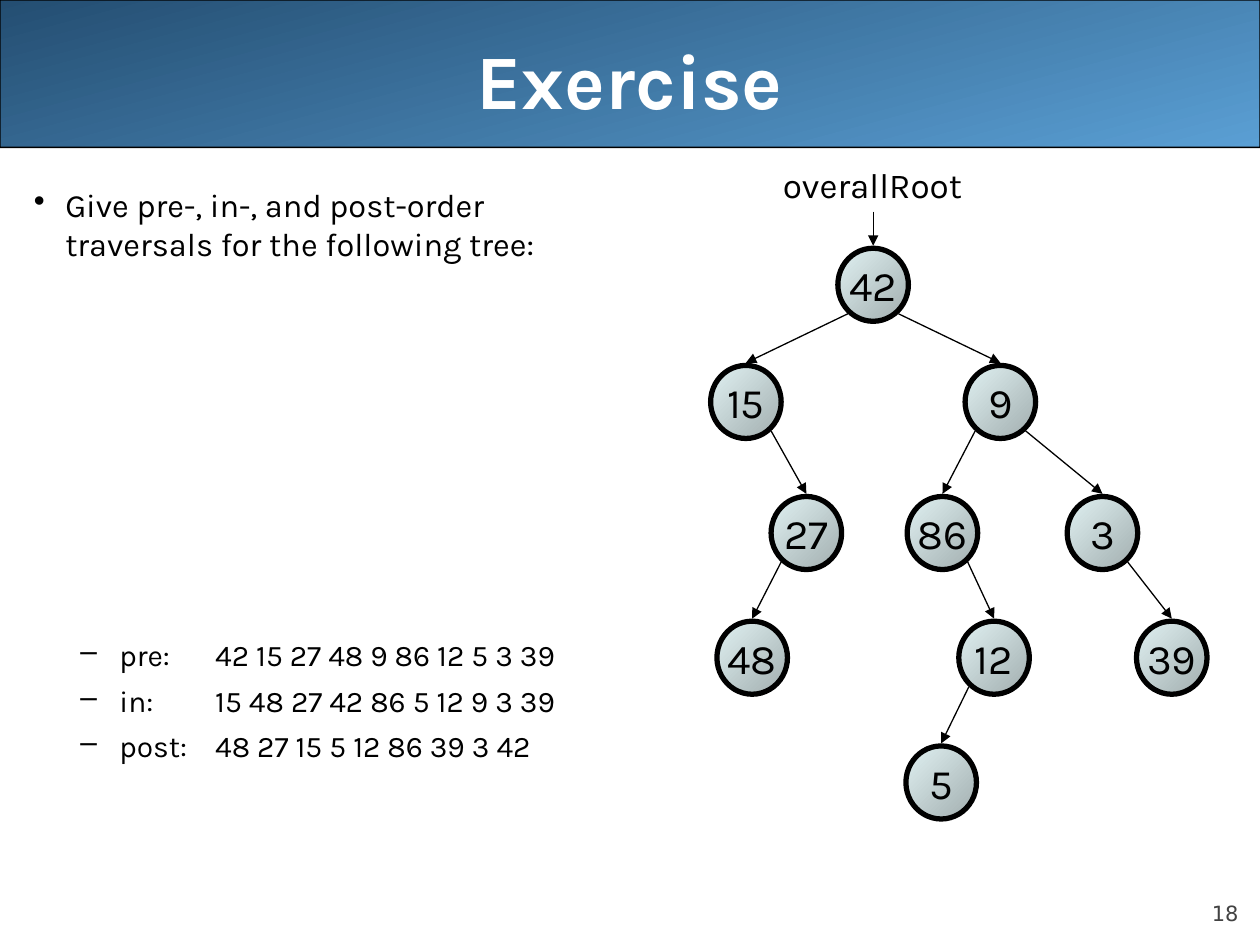
from lxml.etree import SubElement as Sub
from pptx import Presentation
from pptx.dml.color import RGBColor as RGB
from pptx.enum.shapes import MSO_CONNECTOR as Conn, MSO_SHAPE as Kind
from pptx.enum.text import MSO_ANCHOR as Anchor, PP_ALIGN as Align
from pptx.oxml.ns import qn
from pptx.util import Inches, Pt

COLORS = {
    "black": "000000", "white": "FFFFFF", "gray": "424242",
    "navy": "244E72", "sky": "5A9FD4", "dim": "A1ADAE", "pale": "E1F2F3",
}
FONT = "Karla"
SIZE_X, SIZE_Y = 0.56, 0.58
ROWS = [1.97, 2.9, 3.94, 4.93, 5.92]

# value: (center x, row, parent)
TREE = {
    42: (6.93, 0, None),
    15: (5.92, 1, 42), 9: (7.94, 1, 42),
    27: (6.4, 2, 15), 86: (7.48, 2, 9), 3: (8.75, 2, 9),
    48: (5.97, 3, 27), 12: (7.89, 3, 86), 39: (9.3, 3, 3),
    5: (7.47, 4, 12),
}
TASK = "Give pre-, in-, and post-order\vtraversals for the following tree:"
ORDERS = [
    "pre:\t42 15 27 48 9 86 12 5 3 39",
    "in:\t15 48 27 42 86 5 12 9 3 39",
    "post:\t48 27 15 5 12 86 39 3 42",
]


def rgb(name):
    return RGB.from_string(COLORS[name])


class Deck:
    def __init__(self):
        self.prs = Presentation()
        self.prs.slide_width, self.prs.slide_height = Inches(10), Inches(7.5)
        self.slide = self.prs.slides.add_slide(self.prs.slide_layouts[5])
        self.shapes = self.slide.shapes

    def style(self, para, size, color="black", bold=False, font=FONT):
        for run in para.runs:
            run.font.name, run.font.size, run.font.bold = font, Pt(size), bold
            run.font.color.rgb = rgb(color)

    def title(self, text, *box):
        head = self.shapes.title
        head.left, head.top, head.width, head.height = map(Inches, box)
        frame = head.text_frame
        frame.text = text
        frame.vertical_anchor = Anchor.MIDDLE
        para = frame.paragraphs[0]
        para.alignment = Align.CENTER
        self.style(para, 44, "white", bold=True)

    def shape(self, kind, box, stops, angle, width):
        """Add an outlined shape whose gradient turns clockwise by angle."""
        item = self.shapes.add_shape(kind, *map(Inches, box))
        item.shadow.inherit = False
        item.fill.gradient()
        item.fill.gradient_angle = 360 - angle
        for stop, name in zip(item.fill.gradient_stops, stops):
            stop.color.rgb = rgb(name)
        item.line.color.rgb = rgb("black")
        item.line.width = Pt(width)
        return item

    def band(self, *box):
        item = self.shape(Kind.ROUNDED_RECTANGLE, box, ("navy", "sky"), 75, 0.75)
        item.adjustments[0] = 0.001
        self.shapes._spTree.insert(2, item._element)  # behind the title

    def node(self, value, x, top):
        box = (x - SIZE_X / 2, top, SIZE_X, SIZE_Y)
        item = self.shape(Kind.OVAL, box, ("dim", "pale"), 225, 3)
        frame = item.text_frame
        frame.word_wrap = False
        frame.vertical_anchor = Anchor.MIDDLE
        frame.text = str(value)
        frame.paragraphs[0].alignment = Align.CENTER
        self.style(frame.paragraphs[0], 24)

    def arrow(self, *ends):
        item = self.shapes.add_connector(Conn.STRAIGHT, *map(Inches, ends))
        item.line.color.rgb = rgb("black")
        item.line.width = Pt(0.75)
        Sub(item.line._get_or_add_ln(), qn("a:tailEnd"), type="triangle")
        Sub(item._element.spPr, qn("a:effectLst"))

    def text(self, text, box, size, align=Align.LEFT, wrap=True, **look):
        frame = self.shapes.add_textbox(*map(Inches, box)).text_frame
        frame.word_wrap = wrap
        frame.text = text
        frame.paragraphs[0].alignment = align
        self.style(frame.paragraphs[0], size, **look)
        return frame

    def bullet(self, para, mark, left, hang, before, tab=None):
        para.space_before = Pt(before)
        props = para._p.get_or_add_pPr()
        props.set("marL", str(Inches(left)))
        props.set("indent", str(-Inches(hang)))
        Sub(props, qn("a:buChar"), char=mark)
        if tab:
            stops = Sub(props, qn("a:tabLst"))
            Sub(stops, qn("a:tab"), pos=str(Inches(tab)), algn="l")

    def tree(self, nodes):
        for value, (x, row, _) in nodes.items():
            self.node(value, x, ROWS[row])
        for x, row, parent in nodes.values():
            if parent is None:
                self.arrow(x, 1.68, x, ROWS[row] - 0.02)
                continue
            px, prow, _ = nodes[parent]
            side = 0.2 if x > px else -0.2
            self.arrow(px + side, ROWS[prow] + 0.52, x, ROWS[row] - 0.02)


def main():
    deck = Deck()
    deck.band(0, 0, 10, 1.17)
    deck.title("Exercise", 0.5, 0, 9, 1.25)

    body = deck.text(TASK, (0.17, 1.42, 5.3, 5.67), 18.6)
    deck.bullet(body.paragraphs[0], "•", 0.25, 0.25, 6)
    for i, order in enumerate(ORDERS):
        para = body.add_paragraph()
        para.text = order
        para.level = 1
        deck.style(para, 17.1)
        deck.bullet(para, "–", 0.68, 0.31, 5.5 if i else 213.5, tab=1.44)

    deck.text("overallRoot", (6.08, 1.25, 1.69, 0.44), 20, Align.CENTER, wrap=False)
    deck.tree(TREE)

    page = deck.text("18", (9, 6.95, 0.83, 0.4), 12, Align.RIGHT,
                     color="gray", font="DejaVu Sans")
    page.vertical_anchor = Anchor.BOTTOM
    page.margin_left = page.margin_right = page.margin_top = page.margin_bottom = 0

    deck.prs.save("out.pptx")


if __name__ == "__main__":
    main()
